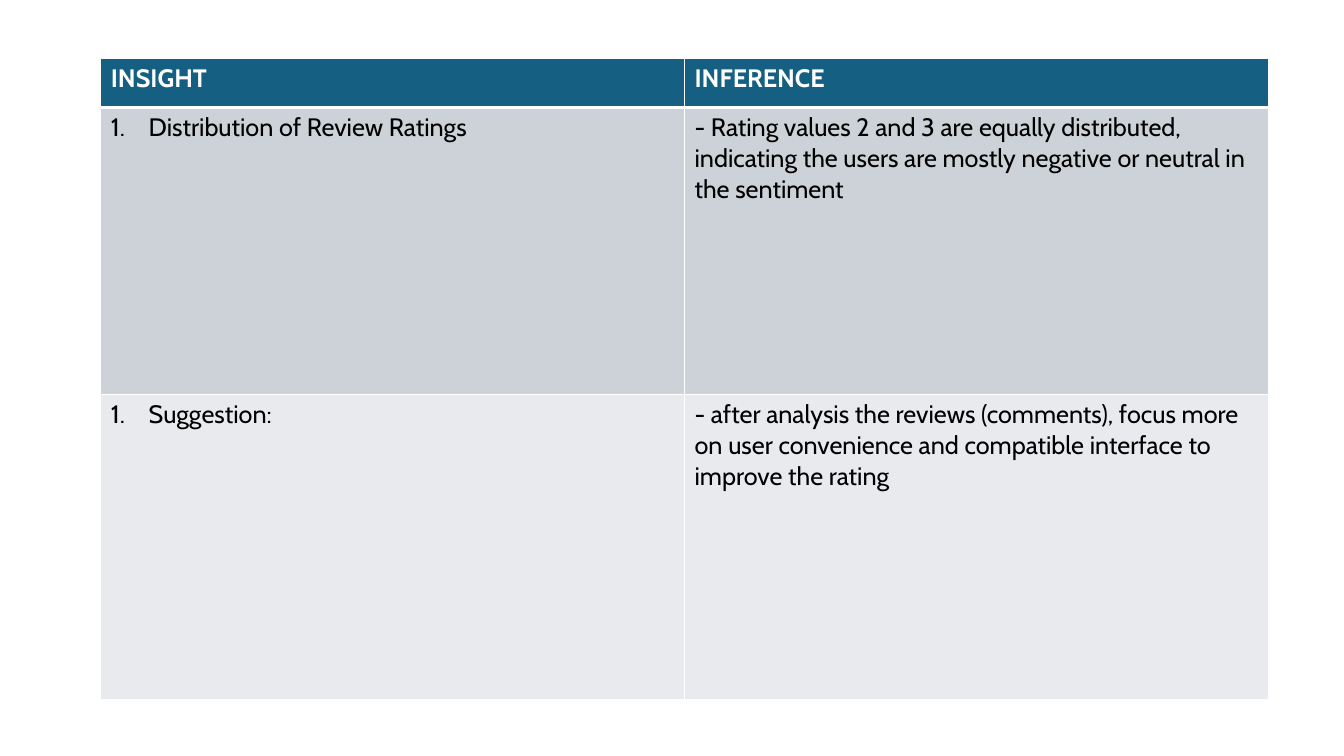
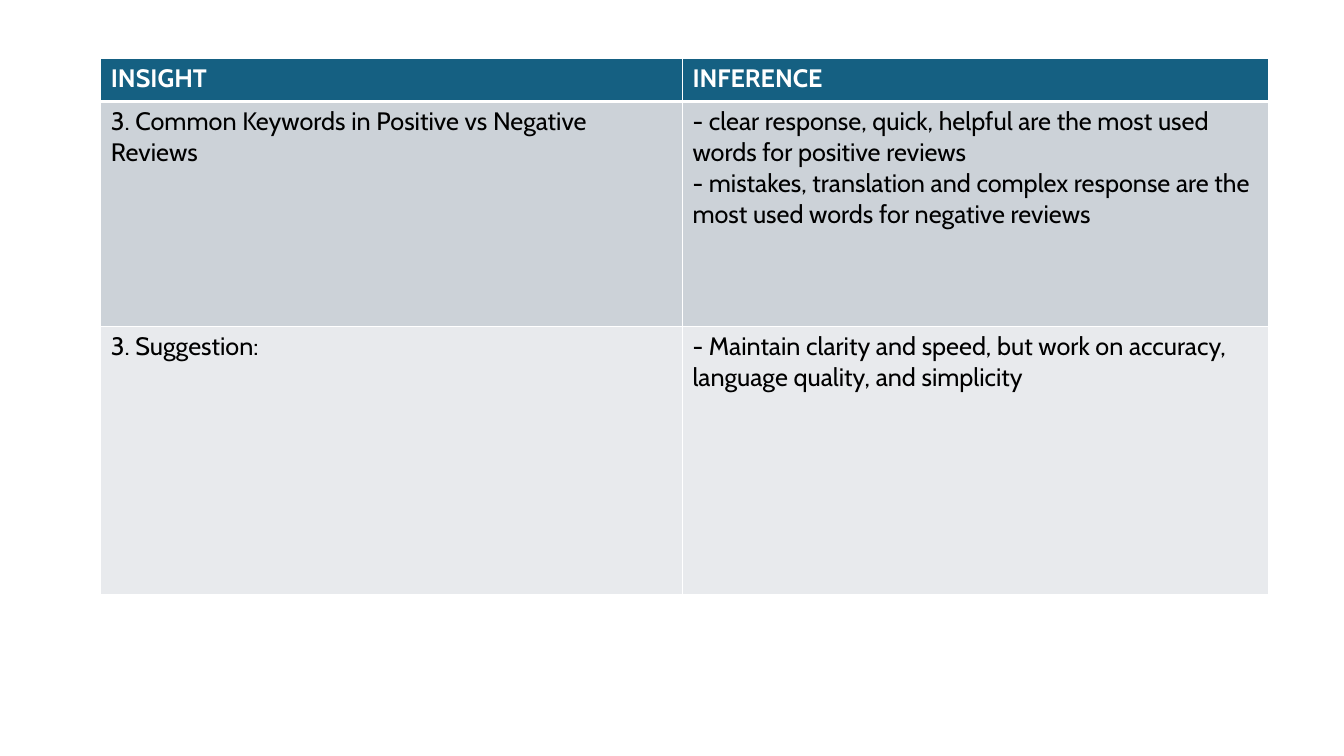
from lxml import etree
from pptx import Presentation
from pptx import util as u
from pptx.dml.color import RGBColor
from pptx.oxml import ns

Pt = u.Pt
FONT = "Cabin"
COLOURS = {
    "header": "156082",
    "insight": "CCD2D8",
    "suggestion": "E8EAED",
    "border": "FFFFFF",
    "header_text": "FFFFFF",
    "body_text": "000000",
}
ROW_FILLS = ("header", "insight", "suggestion")
HEADINGS = ("INSIGHT", "INFERENCE")
TABLE_LEFT, TABLE_TOP = 72, 41.5
NUMBER_INDENT = 27

TABLES = [
    {
        "columns": (417, 417),
        "rows": (35.3, 205, 218),
        "numbered": True,
        "body": [
            ("Distribution of Review Ratings",
             "- Rating values 2 and 3 are equally distributed, indicating the users "
             "are mostly negative or neutral in the sentiment"),
            ("Suggestion:",
             "- after analysis the reviews (comments), focus more on user convenience "
             "and compatible interface to improve the rating"),
        ],
    },
    {
        "columns": (415.5, 418.5),
        "rows": (31, 160.5, 191.5),
        "numbered": False,
        "body": [
            ("3. Common Keywords in Positive vs Negative Reviews",
             "- clear response, quick, helpful are the most used words for positive reviews\n"
             "- mistakes, translation and complex response are the most used words "
             "for negative reviews"),
            ("3. Suggestion:",
             "- Maintain clarity and speed, but work on accuracy, language quality, "
             "and simplicity"),
        ],
    },
]


def set_borders(cell, row_index):
    properties = cell._tc.get_or_add_tcPr()
    widths = {
        "lnL": 1,
        "lnR": 1,
        "lnT": 3 if row_index == 1 else 1,
        "lnB": 3 if row_index == 0 else 1,
    }
    for side, width in widths.items():
        line = etree.SubElement(properties, ns.qn("a:" + side), w=str(Pt(width)))
        fill = etree.SubElement(line, ns.qn("a:solidFill"))
        etree.SubElement(fill, ns.qn("a:srgbClr"), val=COLOURS["border"])


def number_paragraph(paragraph):
    properties = paragraph._p.get_or_add_pPr()
    properties.set("marL", str(Pt(NUMBER_INDENT)))
    properties.set("indent", str(-Pt(NUMBER_INDENT)))
    etree.SubElement(properties, ns.qn("a:buAutoNum"), type="arabicPeriod")


def format_cell(cell, content, row_index):
    is_header = row_index == 0
    set_borders(cell, row_index)
    cell.fill.solid()
    cell.fill.fore_color.rgb = RGBColor.from_string(COLOURS[ROW_FILLS[row_index]])
    cell.text_frame.text = content
    text_colour = COLOURS["header_text" if is_header else "body_text"]
    for paragraph in cell.text_frame.paragraphs:
        for run in paragraph.runs:
            run.font.name = FONT
            run.font.size = Pt(18)
            run.font.bold = is_header
            run.font.color.rgb = RGBColor.from_string(text_colour)


def add_insight_table(slide, content):
    columns, rows = content["columns"], content["rows"]
    table = slide.shapes.add_table(
        len(rows), len(columns), Pt(TABLE_LEFT), Pt(TABLE_TOP),
        Pt(sum(columns)), Pt(sum(rows))).table
    for column, width in zip(table.columns, columns):
        column.width = Pt(width)
    for row_index, texts in enumerate([HEADINGS] + content["body"]):
        table.rows[row_index].height = Pt(rows[row_index])
        for column_index, cell_text in enumerate(texts):
            format_cell(table.cell(row_index, column_index), cell_text, row_index)
        if content["numbered"] and row_index > 0:
            number_paragraph(table.cell(row_index, 0).text_frame.paragraphs[0])


def main():
    presentation = Presentation()
    presentation.slide_width, presentation.slide_height = Pt(960), Pt(540)
    blank_layout = presentation.slide_layouts[6]
    for content in TABLES:
        add_insight_table(presentation.slides.add_slide(blank_layout), content)
    presentation.save("out.pptx")


if __name__ == "__main__":
    main()
